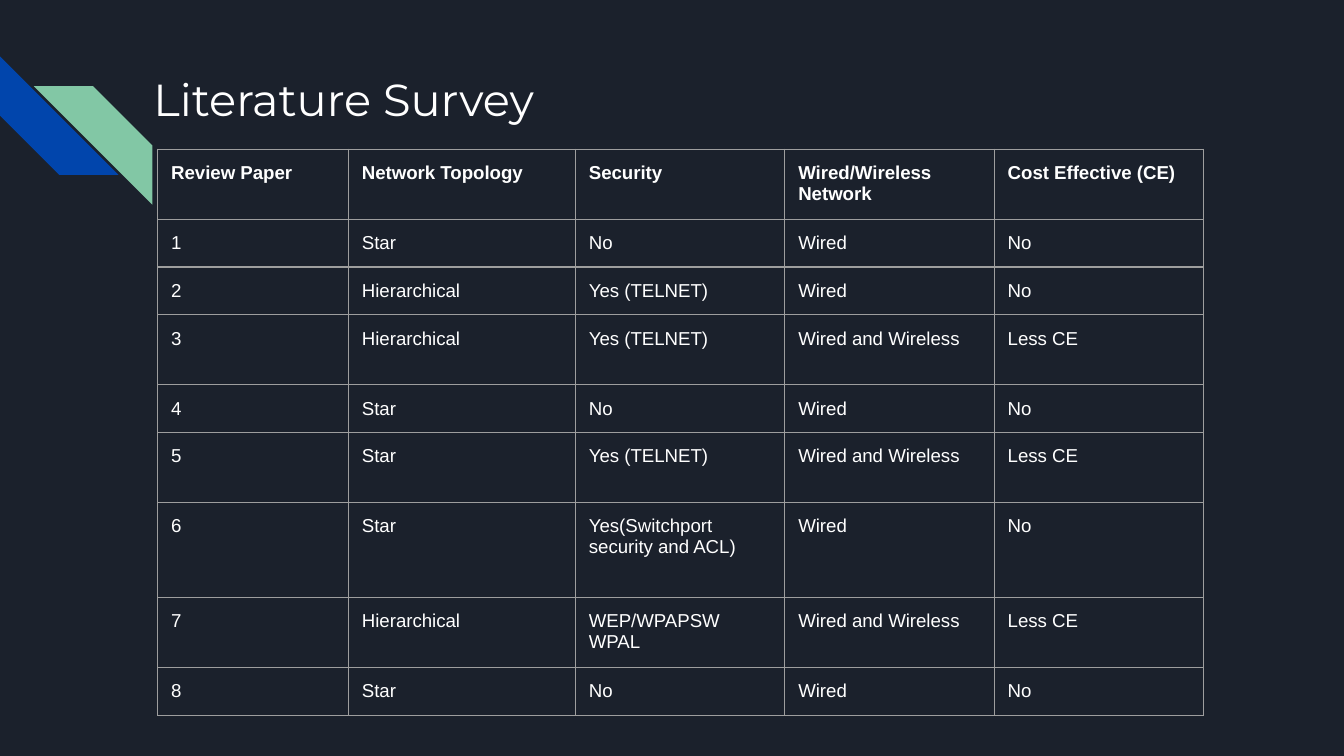
from lxml import etree
from pptx import Presentation
from pptx.dml.color import RGBColor
from pptx.enum.shapes import MSO_SHAPE
from pptx.enum.text import MSO_ANCHOR
from pptx.oxml.ns import qn
from pptx.util import Pt

STRIPE = MSO_SHAPE.DIAGONAL_STRIPE
TOP = MSO_ANCHOR.TOP

DARK, BLUE, GREEN, WHITE, GREY = "1B212C", "0145AC", "82C7A5", "FFFFFF", "9E9E9E"
INSET = Pt(7.2)

COL_WIDTHS = [102.2, 121.6, 112.2, 112.2, 112.2]
SHORT, MEDIUM, TALL = 24.5, 37.5, 51
ROW_HEIGHTS = [MEDIUM, SHORT, SHORT, MEDIUM, SHORT, MEDIUM, TALL, MEDIUM, SHORT]
HEADER = ["Review Paper", "Network Topology", "Security",
          "Wired/Wireless Network", "Cost Effective (CE)"]
PAPERS = [
    ["Star", "No", "Wired", "No"],
    ["Hierarchical", "Yes (TELNET)", "Wired", "No"],
    ["Hierarchical", "Yes (TELNET)", "Wired and Wireless", "Less CE"],
    ["Star", "No", "Wired", "No"],
    ["Star", "Yes (TELNET)", "Wired and Wireless", "Less CE"],
    ["Star", "Yes(Switchport security and ACL)", "Wired", "No"],
    ["Hierarchical", "WEP/WPAPSW WPAL", "Wired and Wireless", "Less CE"],
    ["Star", "No", "Wired", "No"],
]


def rgb(hex_color):
    return RGBColor.from_string(hex_color)


def write(tf, text, size=10, font="Arial", color=WHITE, bold=False):
    p = tf.paragraphs[0]
    r = p.add_run()
    r.text = text
    r.font.size = Pt(size)
    r.font.name = font
    r.font.bold = bold
    r.font.color.rgb = rgb(color)
    return p


def set_insets(obj):
    obj.margin_left = obj.margin_right = INSET
    obj.margin_top = obj.margin_bottom = INSET


def add_stripe(s, left, top, color, rotation=0, flip=False):
    sp = s.shapes.add_shape(STRIPE, Pt(left), Pt(top), Pt(63.5), Pt(63.5))
    sp.adjustments[0] = 0.5
    sp.rotation = rotation
    sp.shadow.inherit = False
    sp.fill.solid()
    sp.fill.fore_color.rgb = rgb(color)
    sp.line.fill.background()
    if flip:
        sp._element.spPr.find(qn("a:xfrm")).set("flipH", "1")


def set_title(s, text):
    sp = s.shapes.title
    sp.left, sp.top, sp.width, sp.height = Pt(75), Pt(31), Pt(554.5), Pt(72)
    tf = sp.text_frame
    tf.word_wrap = True
    tf.vertical_anchor = TOP
    set_insets(tf)
    p = write(tf, text, size=24, font="Montserrat")
    p.alignment = 1


def add_borders(cell, color, width):
    tc_pr = cell._tc.get_or_add_tcPr()
    # Borders come before the fill in a cell's properties
    for i, side in enumerate(("a:lnL", "a:lnR", "a:lnT", "a:lnB")):
        ln = etree.Element(qn(side), w=str(Pt(width)))
        fill = etree.SubElement(ln, qn("a:solidFill"))
        etree.SubElement(fill, qn("a:srgbClr"), val=color)
        tc_pr.insert(i, ln)


def add_survey_table(s, rows):
    frame = s.shapes.add_table(len(rows), len(COL_WIDTHS), Pt(84.5), Pt(80),
                               Pt(sum(COL_WIDTHS)), Pt(sum(ROW_HEIGHTS)))
    table = frame.table
    table.horz_banding = False
    for col, width in zip(table.columns, COL_WIDTHS):
        col.width = Pt(width)
    for row, height in zip(table.rows, ROW_HEIGHTS):
        row.height = Pt(height)
    for i, texts in enumerate(rows):
        for j, text in enumerate(texts):
            cell = table.cell(i, j)
            cell.fill.background()
            cell.vertical_anchor = TOP
            set_insets(cell)
            add_borders(cell, GREY, 0.75)
            write(cell.text_frame, text, bold=i == 0)


def main():
    prs = Presentation()
    prs.slide_width, prs.slide_height = Pt(720), Pt(405)
    s = prs.slides.add_slide(prs.slide_layouts[5])
    s.background.fill.solid()
    s.background.fill.fore_color.rgb = rgb(DARK)

    # Corner stripes
    add_stripe(s, 0, 30.2, BLUE, rotation=270)
    add_stripe(s, 18.2, 46.2, GREEN, flip=True)

    # Title and survey table, papers numbered from 1
    set_title(s, "Literature Survey")
    numbered = [[str(n), *paper] for n, paper in enumerate(PAPERS, 1)]
    add_survey_table(s, [HEADER, *numbered])

    prs.save("out.pptx")


if __name__ == "__main__":
    main()
